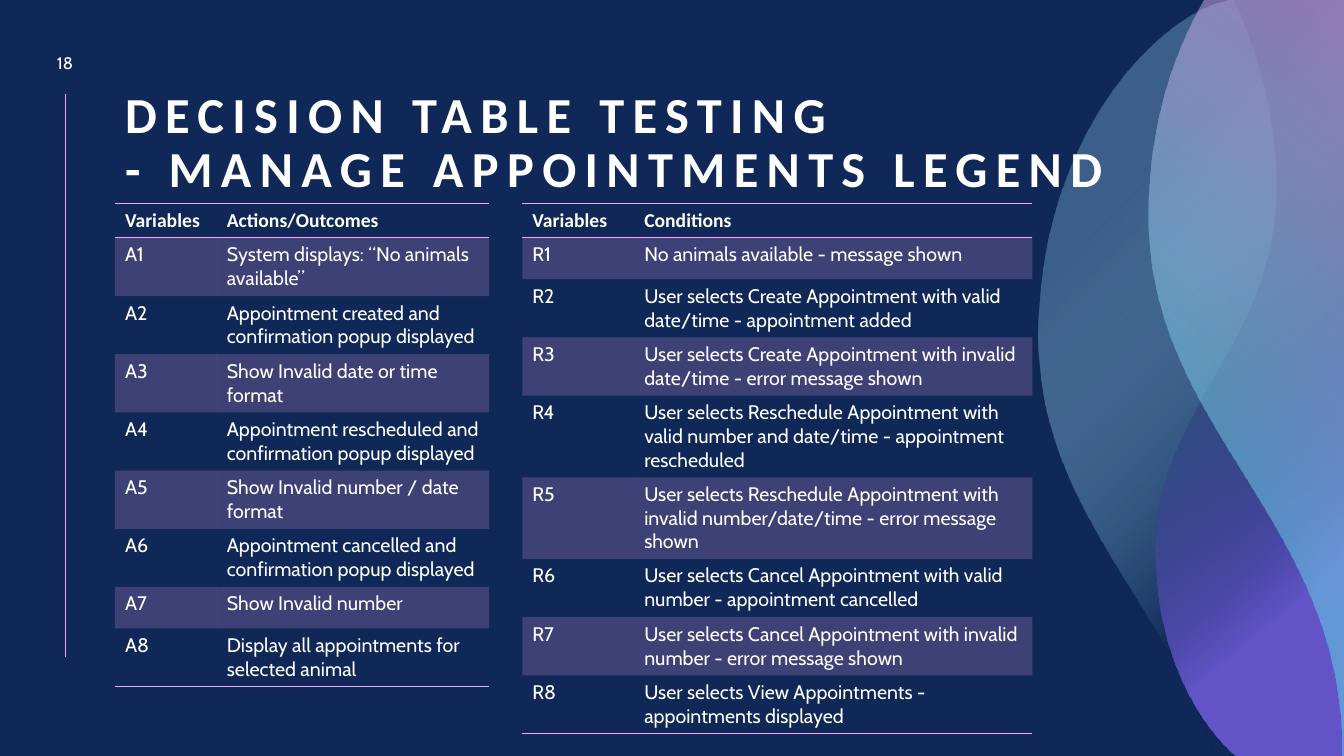
import dataclasses

import lxml.etree
import pptx
import pptx.dml.color
import pptx.enum.shapes
import pptx.enum.text
import pptx.oxml
import pptx.oxml.ns
import pptx.util

Inches = pptx.util.Inches
Pt = pptx.util.Pt
Anchor = pptx.enum.text.MSO_ANCHOR
Align = pptx.enum.text.PP_ALIGN
qn = pptx.oxml.ns.qn


@dataclasses.dataclass(frozen=True)
class Theme:
    navy: str = "102857"
    pink: str = "F6A6F4"
    white: str = "FFFFFF"
    sky: str = "92CDF0"
    violet: str = "765FE1"
    cyan: str = "64DFED"
    body: str = "Cabin"
    head: str = "Calibri"
    title: int = 36
    cell: int = 14
    small: int = 12


THEME = Theme()
PLAIN = "{2D5ABB26-0587-4C30-8999-92F81FD0307C}"

ACTIONS = [
    ("Variables", "Actions/Outcomes"),
    ("A1", "System displays: “No animals available”"),
    ("A2", "Appointment created and confirmation popup displayed"),
    ("A3", "Show Invalid date or time format"),
    ("A4", "Appointment rescheduled and confirmation popup displayed"),
    ("A5", "Show Invalid number / date format"),
    ("A6", "Appointment cancelled and confirmation popup displayed"),
    ("A7", "Show Invalid number"),
    ("A8", "Display all appointments for selected animal"),
]
RULES = [
    ("Variables", "Conditions"),
    ("R1", "No animals available - message shown"),
    ("R2", "User selects Create Appointment with valid date/time - appointment added"),
    ("R3", "User selects Create Appointment with invalid date/time - error message shown"),
    ("R4", "User selects Reschedule Appointment with valid number and date/time - appointment rescheduled"),
    ("R5", "User selects Reschedule Appointment with invalid number/date/time - error message shown"),
    ("R6", "User selects Cancel Appointment with valid number - appointment cancelled"),
    ("R7", "User selects Cancel Appointment with invalid number - error message shown"),
    ("R8", "User selects View Appointments - appointments displayed"),
]


def slant(angle):
    return f'<a:lin ang="{angle * 60000}" scaled="0"/>'


CIRCLE = '<a:path path="circle"><a:fillToRect l="100000" t="100000"/></a:path>'
WAVES = [
    (90, [(26, THEME.navy, 100), (73, THEME.sky, 33)], CIRCLE,
     [(12.2, 0), (13.34, 0), (13.34, 7.5), (12.04, 7.5), (12.02, 7.43),
      (11.54, 5.95, 10.3, 5.03, 10.3, 3.34),
      (10.3, 1.51, 11.32, 0.31, 12.05, 0.04)]),
    (270, [(37, THEME.navy, 28), (79, THEME.violet, 80)], slant(140),
     [(12.23, 0), (13.33, 0), (13.33, 7.5), (12.26, 7.5), (12.24, 7.49),
      (11.85, 7.14, 11.46, 6.43, 11.46, 5.46),
      (11.47, 4.04, 12.63, 3.43, 12.65, 1.92),
      (12.66, 1.17, 12.48, 0.58, 12.28, 0.12)]),
    (90, [(32, THEME.cyan, 48), (100, THEME.pink, 49)], slant(220),
     [(11.94, 0), (13.33, 0), (13.33, 7.5), (13.3, 7.5), (13.3, 7.37),
      (13.26, 5.14, 11.39, 4.24, 11.39, 2.15),
      (11.39, 1.36, 11.58, 0.69, 11.85, 0.17)]),
]


def put(item, **values):
    for name, value in values.items():
        setattr(item, name, value)


def rgb(color):
    return pptx.dml.color.RGBColor.from_string(color)


def xml(tag, inner, attrs=""):
    space = pptx.oxml.ns.nsdecls("a")
    return pptx.oxml.parse_xml(f"<a:{tag} {space} {attrs}>{inner}</a:{tag}>")


def tint(color, alpha):
    return f'<a:srgbClr val="{color}"><a:alpha val="{alpha * 1000}"/></a:srgbClr>'


def style(frame, face, size, bold=False, **para):
    for line in frame.paragraphs:
        put(line, **para)
        for run in line.runs:
            put(run.font, name=face, size=Pt(size), bold=bold)
            run.font.color.rgb = rgb(THEME.white)


def bend(props, parts):
    lines = iter(props.findall(".//" + qn("a:lnTo")))
    for part in parts:
        line = next(lines)
        if len(part) == 6:
            line.addprevious(xml("cubicBezTo", ""))
            curve = line.getprevious()
            for knot in (line, next(lines), next(lines)):
                curve.append(knot[0])
                knot.getparent().remove(knot)


def add_wave(slide, turn, stops, shade, parts):
    points = [part[i:i + 2] for part in parts for i in range(0, len(part), 2)]
    mid_x, mid_y = ((min(axis) + max(axis)) / 2 for axis in zip(*points))
    sign = 1 if turn == 90 else -1
    local = [(Inches(mid_x + sign * (y - mid_y)), Inches(mid_y - sign * (x - mid_x)))
             for x, y in points]
    pen = slide.shapes.build_freeform(*local[0])
    pen.add_line_segments(local[1:], close=True)
    wave = pen.convert_to_shape()
    wave.rotation = turn
    wave.shadow.inherit = False
    wave.line.fill.background()
    wave.fill.background()
    marks = "".join(f'<a:gs pos="{pos * 1000}">{tint(color, alpha)}</a:gs>'
                    for pos, color, alpha in stops)
    blend = xml("gradFill", f"<a:gsLst>{marks}</a:gsLst>{shade}", 'rotWithShape="1"')
    props = wave._element.spPr
    props.replace(props.find(qn("a:noFill")), blend)
    bend(props, parts[1:])


def add_rule(slide, left, top, end):
    rule = slide.shapes.add_connector(
        pptx.enum.shapes.MSO_CONNECTOR.STRAIGHT,
        Inches(left), Inches(top), Inches(left), Inches(end))
    rule.line.width = Pt(0.5)
    rule.line.color.rgb = rgb(THEME.pink)
    lxml.etree.SubElement(rule._element.spPr, qn("a:effectLst"))


def add_page(slide, text):
    box = slide.shapes.add_textbox(Inches(0.36), Inches(0.45), Inches(0.57), Inches(0.34))
    put(box.text_frame, text=text, word_wrap=True, vertical_anchor=Anchor.MIDDLE)
    style(box.text_frame, THEME.body, THEME.small, alignment=Align.CENTER)


def edge(cell, side):
    line = xml(f"ln{side}", f"<a:solidFill>{tint(THEME.pink, 100)}</a:solidFill>",
               f'w="{Pt(1)}"')
    cell._tc.get_or_add_tcPr().insert(0, line)


def add_grid(slide, left, widths, rows):
    frame = slide.shapes.add_table(
        len(rows), len(widths), Inches(left), Inches(2.02),
        Inches(sum(widths)), Inches(0.34 + 0.41 * (len(rows) - 1)))
    grid = frame.table
    put(grid, first_row=False, horz_banding=False)
    grid._tbl.tblPr.find(qn("a:tableStyleId")).text = PLAIN
    for col, width in zip(grid.columns, widths):
        col.width = Inches(width)
    for r, texts in enumerate(rows):
        head = r == 0
        grid.rows[r].height = Inches(0.34 if head else 0.41)
        for c, text in enumerate(texts):
            cell = grid.cell(r, c)
            put(cell, text=text, margin_bottom=Inches(0.05 if head else 0.06))
            style(cell.text_frame, THEME.head if head else THEME.body, THEME.cell, head)
            cell.fill.background()
            if r % 2:
                props = cell._tc.tcPr
                props.replace(props.find(qn("a:noFill")),
                              xml("solidFill", tint(THEME.pink, 20)))
            if head or r == len(rows) - 1:
                edge(cell, "B")
            if head:
                edge(cell, "T")


def set_title(slide, text):
    title = slide.shapes.title
    put(title, left=Inches(1.14), top=Inches(0.91), width=Inches(10.43), height=Inches(1.11))
    put(title.text_frame, text=text, word_wrap=True, vertical_anchor=Anchor.BOTTOM,
        auto_size=pptx.enum.text.MSO_AUTO_SIZE.NONE)
    style(title.text_frame, THEME.head, THEME.title, True,
          alignment=Align.LEFT, line_spacing=0.9)
    for run in title.text_frame.paragraphs[0].runs:
        run.font._element.set("spc", "600")
    slide.shapes._spTree.append(title._element)


def main():
    deck = pptx.Presentation()
    put(deck, slide_width=Inches(13.33), slide_height=Inches(7.5))
    slide = deck.slides.add_slide(deck.slide_layouts[5])
    slide.background.fill.solid()
    slide.background.fill.fore_color.rgb = rgb(THEME.navy)
    add_rule(slide, 0.65, 0.93, 6.52)
    for wave in WAVES:
        add_wave(slide, *wave)
    add_page(slide, "18")
    add_grid(slide, 1.14, (1.01, 2.7), ACTIONS)
    add_grid(slide, 5.18, (1.11, 3.95), RULES)
    set_title(slide, "DECISION TABLE TESTING\v- MANAGE APPOINTMENTS LEGEND")
    deck.save("out.pptx")


if __name__ == "__main__":
    main()
